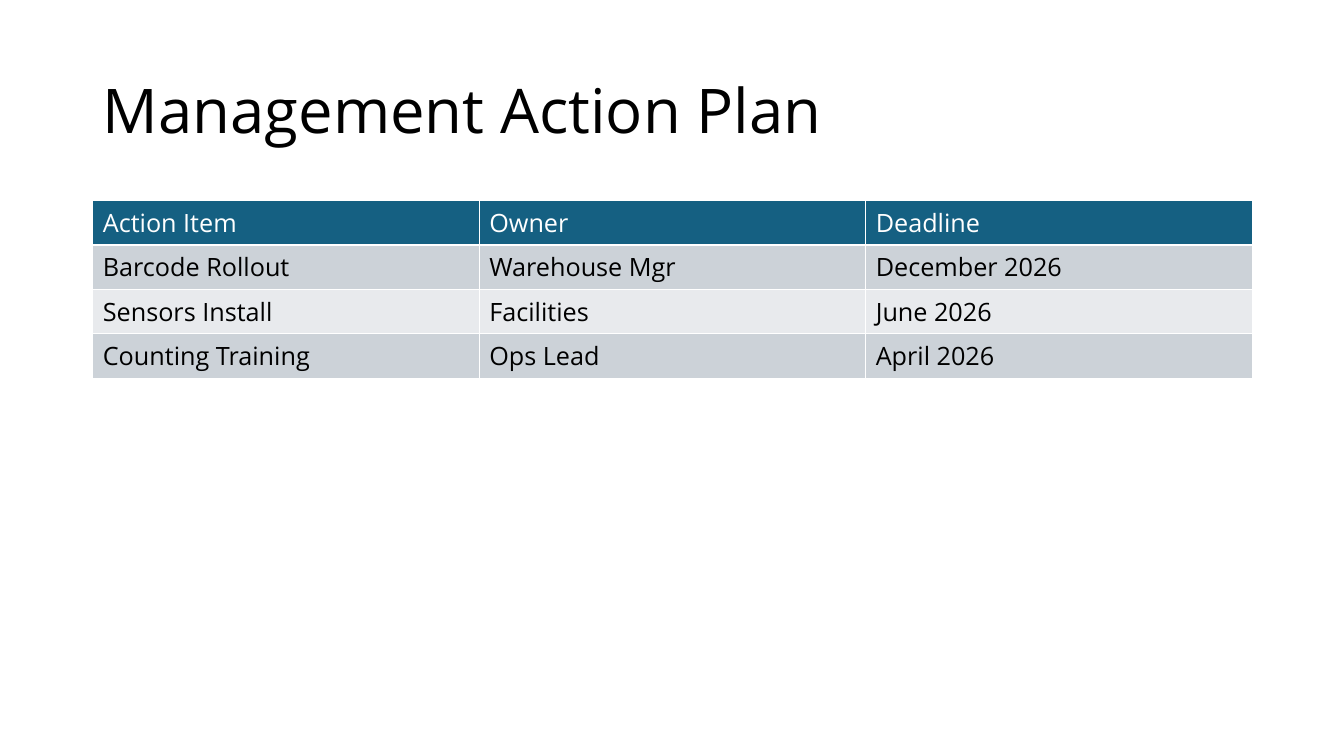
from dataclasses import dataclass

from pptx import Presentation
from pptx.dml.color import RGBColor
from pptx.enum.text import MSO_ANCHOR, PP_ALIGN
from pptx.util import Inches, Pt


@dataclass(frozen=True)
class Theme:
    font: str = "Open Sans"
    title_size: int = 44
    table_size: int = 18
    dark: str = "000000"
    light: str = "FFFFFF"
    header_fill: str = "156082"
    band_fills: tuple = ("E8EAED", "CCD2D8")


theme = Theme()


def add_run(paragraph, text, size, color):
    run = paragraph.add_run()
    run.text = text
    run.font.name = theme.font
    run.font.size = Pt(size)
    run.font.bold = False
    run.font.color.rgb = RGBColor.from_string(color)


presentation = Presentation()
presentation.slide_width = Inches(13.33)
presentation.slide_height = Inches(7.5)
slide = presentation.slides.add_slide(presentation.slide_layouts[5])

left, width = Inches(0.92), Inches(11.5)

# Title
title = slide.shapes.title
title.left, title.top = left, Inches(0.4)
title.width, title.height = width, Inches(1.45)
title.text_frame.vertical_anchor = MSO_ANCHOR.MIDDLE
paragraph = title.text_frame.paragraphs[0]
paragraph.alignment = PP_ALIGN.LEFT
paragraph.line_spacing = 0.9
add_run(paragraph, "Management Action Plan", theme.title_size, theme.dark)

# Action table: the default table style draws the white borders
actions = [
    ("Action Item", "Owner", "Deadline"),
    ("Barcode Rollout", "Warehouse Mgr", "December 2026"),
    ("Sensors Install", "Facilities", "June 2026"),
    ("Counting Training", "Ops Lead", "April 2026"),
]
row_height = Inches(0.44)
table = slide.shapes.add_table(
    len(actions), len(actions[0]), left, Inches(1.99), width, row_height * len(actions)
).table

for row_index, action in enumerate(actions):
    is_header = row_index == 0
    fill = theme.header_fill if is_header else theme.band_fills[row_index % 2]
    color = theme.light if is_header else theme.dark
    for column_index, text in enumerate(action):
        cell = table.cell(row_index, column_index)
        cell.fill.solid()
        cell.fill.fore_color.rgb = RGBColor.from_string(fill)
        add_run(cell.text_frame.paragraphs[0], text, theme.table_size, color)

presentation.save("out.pptx")
